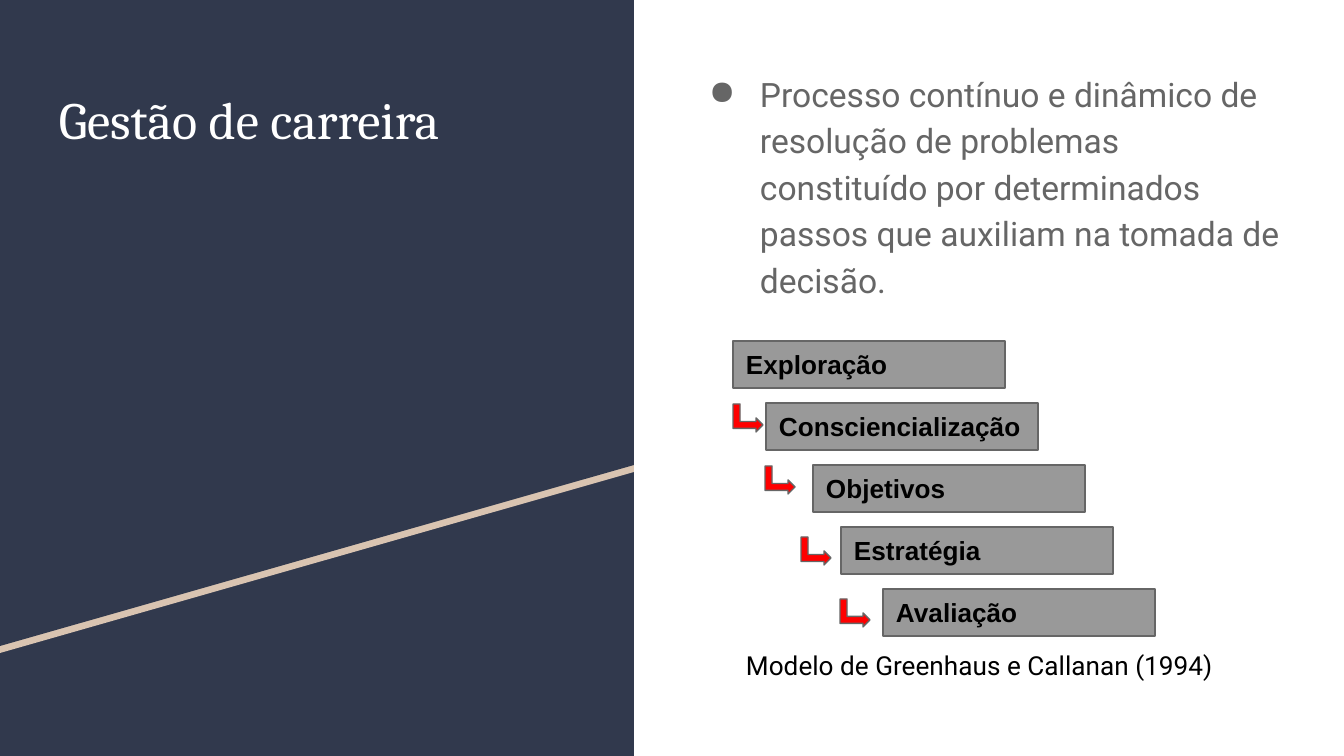
"""Builds a career management slide with a five-step staircase model."""
from dataclasses import dataclass
from lxml.etree import SubElement
from pptx import Presentation
from pptx.dml.color import RGBColor
from pptx.enum.shapes import MSO_SHAPE as Shape
from pptx.enum.text import MSO_ANCHOR as Anchor, PP_ALIGN as Align
from pptx.oxml.ns import qn
from pptx.util import Emu, Pt

SCALE = 9144000 / 1344
COLORS = {
    "navy": "31394D", "sand": "D9C4B1", "white": "FFFFFF", "black": "000000",
    "gray": "999999", "slate": "666666", "red": "FF0000",
}
STEPS = [
    ("Exploração", 733), ("Consciencialização", 766), ("Objetivos", 813),
    ("Estratégia", 841), ("Avaliação", 883),
]
ARROWS = [(734, 403), (766, 465), (802, 536), (841, 598)]


def px(length):
    return Emu(round(length * SCALE))


def color(name):
    return RGBColor.from_string(COLORS[name])


@dataclass
class SlideBuilder:
    page: object
    border: str = "slate"
    inset: int = 13

    def paint(self, shape, fill, border=None):
        shape.shadow.inherit = False
        shape.fill.solid()
        shape.fill.fore_color.rgb = color(fill)
        if border:
            shape.line.color.rgb = color(border)
            shape.line.width = Pt(0.75)
        else:
            shape.line.fill.background()
        return shape

    def rect(self, left, top, width, height, fill, border=None):
        shape = self.page.shapes.add_shape(
            Shape.RECTANGLE, px(left), px(top), px(width), px(height))
        return self.paint(shape, fill, border)

    def polygon(self, points, fill):
        start, *rest = [(px(x), px(y)) for x, y in points]
        builder = self.page.shapes.build_freeform(*start)
        builder.add_line_segments(rest, close=True)
        self.paint(builder.convert_to_shape(), fill)

    def label(self, shape, text, size, font, ink, bold=False, anchor=Anchor.TOP):
        frame = shape.text_frame
        frame.word_wrap = True
        frame.vertical_anchor = anchor
        frame.margin_left = frame.margin_right = px(self.inset)
        frame.margin_top = frame.margin_bottom = px(self.inset)
        para = frame.paragraphs[0]
        para.alignment = Align.LEFT
        span = para.add_run()
        span.text = text
        span.font.size = Pt(size)
        span.font.name = font
        span.font.bold = bold
        span.font.color.rgb = color(ink)
        return para

    def text(self, left, top, width, height, *style):
        box = self.page.shapes.add_textbox(px(left), px(top), px(width), px(height))
        return self.label(box, *style)

    def bullet(self, para, ink, margin, hanging):
        para.line_spacing = 1.15
        props = para._p.get_or_add_pPr()
        props.set("marL", str(px(margin)))
        props.set("indent", str(-px(hanging)))
        bullet_color = SubElement(props, qn("a:buClr"))
        SubElement(bullet_color, qn("a:srgbClr"), val=COLORS[ink])
        SubElement(props, qn("a:buChar"), char="●")

    def step(self, name, left, top):
        box = self.rect(left, top, 272, 47, "gray", self.border)
        self.label(box, name, 14, "Arial", "black", True, Anchor.MIDDLE)

    def arrow(self, left, top):
        shape = self.page.shapes.add_shape(
            Shape.BENT_UP_ARROW, px(left), px(top), px(28), px(30))
        shape.rotation = 90
        self.paint(shape, "red", self.border)


def main():
    deck = Presentation()
    deck.slide_width, deck.slide_height = px(1344), px(756)
    slide = SlideBuilder(deck.slides.add_slide(deck.slide_layouts[6]))

    slide.rect(0, 0, 634, 756, "navy")
    for offset, fill in ((7, "sand"), (0, "navy")):
        slide.polygon([(0, offset), (634, offset), (634, 465 + offset),
                       (0, 646 + offset)], fill)

    slide.text(46, 74, 544, 368, "Gestão de carreira", 28, "Cambria", "white")
    para = slide.text(
        680, 55, 613, 602,
        "Processo contínuo e dinâmico de resolução de problemas constituído por "
        "determinados passos que auxiliam na tomada de decisão.",
        18, "Roboto", "slate")
    slide.bullet(para, "slate", 67, 51)

    for index, (name, left) in enumerate(STEPS):
        slide.step(name, left, 341 + 62 * index)
    for left, top in ARROWS:
        slide.arrow(left, top)
    slide.text(733, 636, 507, 28, "Modelo de Greenhaus e Callanan (1994)",
               14, "Roboto", "black")
    deck.save("out.pptx")


if __name__ == "__main__":
    main()
